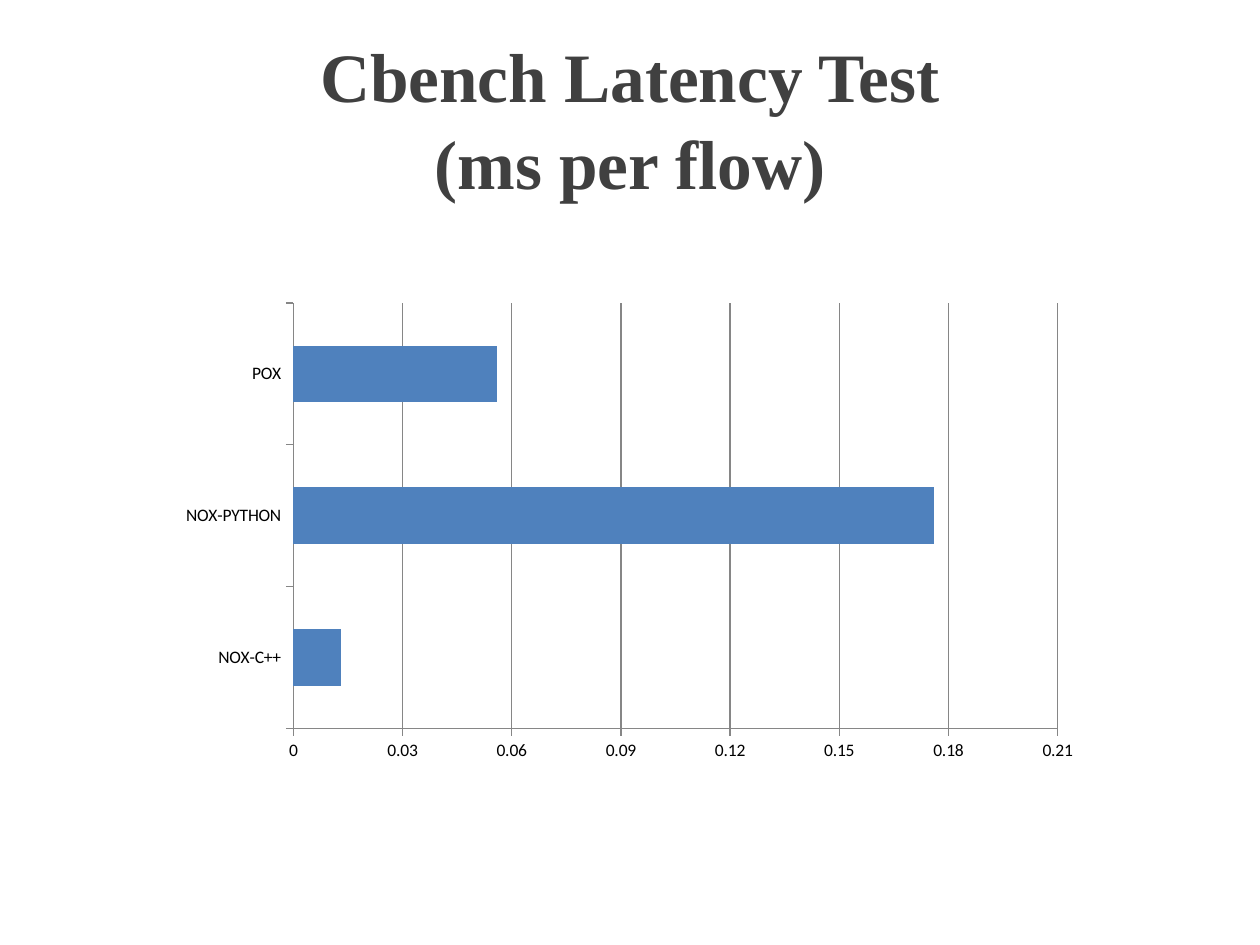
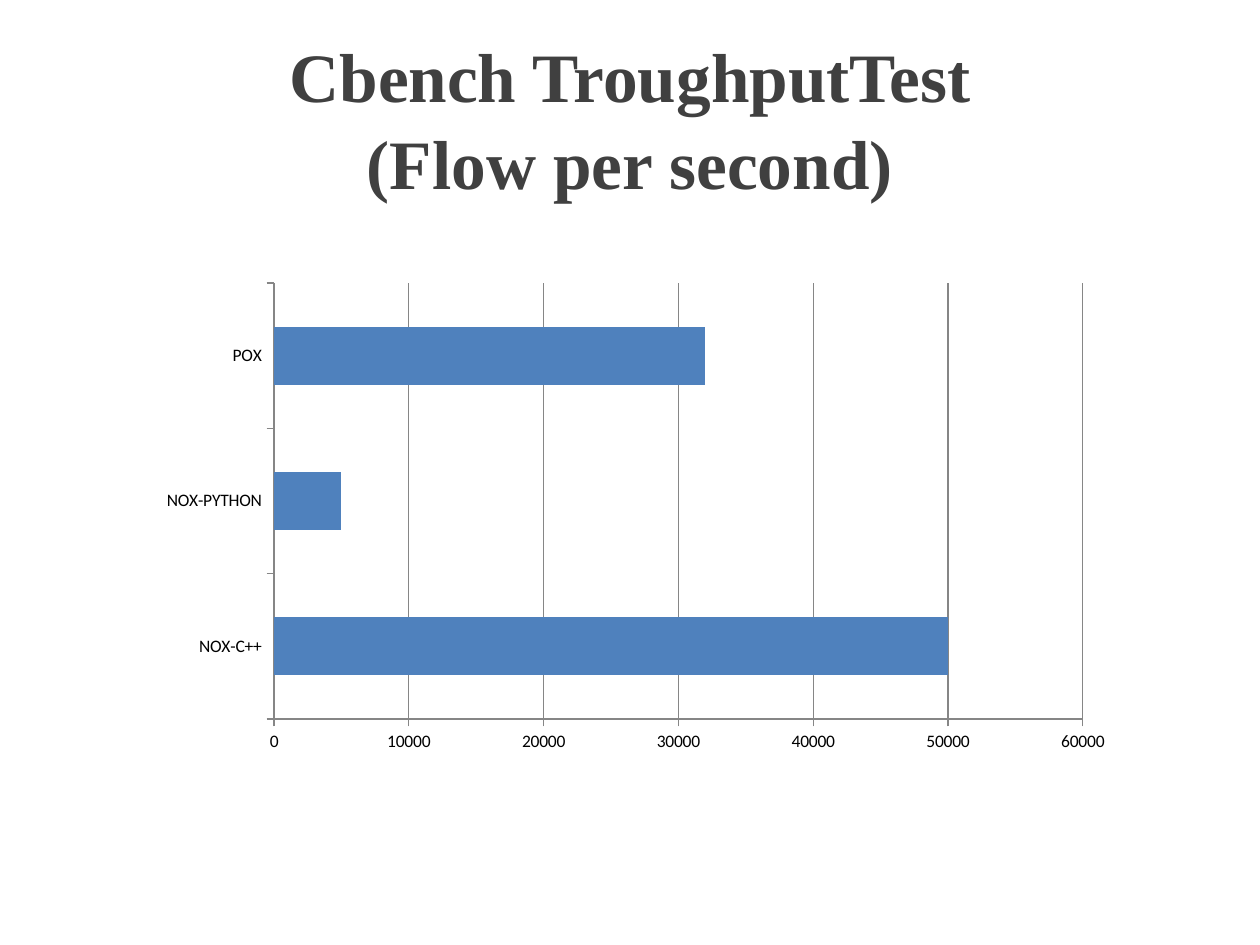
from pptx import Presentation
from pptx.chart.data import CategoryChartData
from pptx.dml.color import RGBColor
from pptx.enum.chart import XL_CHART_TYPE, XL_TICK_MARK
from pptx.enum.text import MSO_ANCHOR, PP_ALIGN
from pptx.util import Cm, Pt

BAR_CLUSTERED = XL_CHART_TYPE.BAR_CLUSTERED
TICK_OUT, TICK_NONE = XL_TICK_MARK.OUTSIDE, XL_TICK_MARK.NONE
MIDDLE, CENTER = MSO_ANCHOR.MIDDLE, PP_ALIGN.CENTER

TITLE_FONT, CHART_FONT = "Times New Roman", "Calibri"
TITLE_COLOR, LABEL_COLOR = "404040", "000000"
BAR_COLOR, AXIS_COLOR = "4F81BD", "868686"
TITLE_BOX = (1.27, 0.76, 22.86, 3.18)
CONTROLLERS = ["NOX-C++", "NOX-PYTHON", "POX"]

# Title, chart box in cm, values, value axis (min, max, step) or None
TESTS = [
    ("Cbench Latency Test\v(ms per flow)", (3.38, 5.92, 18.62, 9.6),
     [0.013, 0.176, 0.056], (0, 0.21, 0.03)),
    ("Cbench TroughputTest\v(Flow per second)", (2.97, 5.51, 19.69, 9.83),
     [50000, 5000, 32000], None),
]


def rgb(value):
    return RGBColor.from_string(value)


def set_font(font, name, size, color, bold=False):
    font.name, font.size, font.bold = name, Pt(size), bold
    font.color.rgb = rgb(color)


def set_line(line):
    line.color.rgb = rgb(AXIS_COLOR)
    line.width = Pt(0.75)


def add_title(s, text, box):
    tf = s.shapes.add_textbox(*map(Cm, box)).text_frame
    tf.word_wrap = True
    tf.vertical_anchor = MIDDLE
    p = tf.paragraphs[0]
    p.text = text
    p.alignment = CENTER
    p.line_spacing = 1.04
    set_font(p.font, TITLE_FONT, 39.6, TITLE_COLOR, bold=True)


def add_bar_chart(s, values, scale, box):
    data = CategoryChartData()
    data.categories = CONTROLLERS
    data.add_series("Series 1", values)
    chart = s.shapes.add_chart(BAR_CLUSTERED, *map(Cm, box), data).chart
    chart.has_legend = chart.has_title = False
    set_font(chart.font, CHART_FONT, 10, LABEL_COLOR)

    # Bars
    plot = chart.plots[0]
    plot.gap_width = 150
    plot.vary_by_categories = False
    fill = plot.series[0].format.fill
    fill.solid()
    fill.fore_color.rgb = rgb(BAR_COLOR)

    # Axes and gridlines
    for axis in (chart.category_axis, chart.value_axis):
        axis.major_tick_mark = TICK_OUT
        axis.minor_tick_mark = TICK_NONE
        set_line(axis.format.line)
    axis = chart.value_axis
    axis.has_major_gridlines = True
    set_line(axis.major_gridlines.format.line)
    if scale:
        axis.minimum_scale, axis.maximum_scale, axis.major_unit = scale


def main():
    prs = Presentation()
    prs.slide_width, prs.slide_height = Cm(25.4), Cm(19.05)
    for title, chart_box, values, scale in TESTS:
        s = prs.slides.add_slide(prs.slide_layouts[6])
        add_title(s, title, TITLE_BOX)
        add_bar_chart(s, values, scale, chart_box)
    prs.save("out.pptx")


if __name__ == "__main__":
    main()
